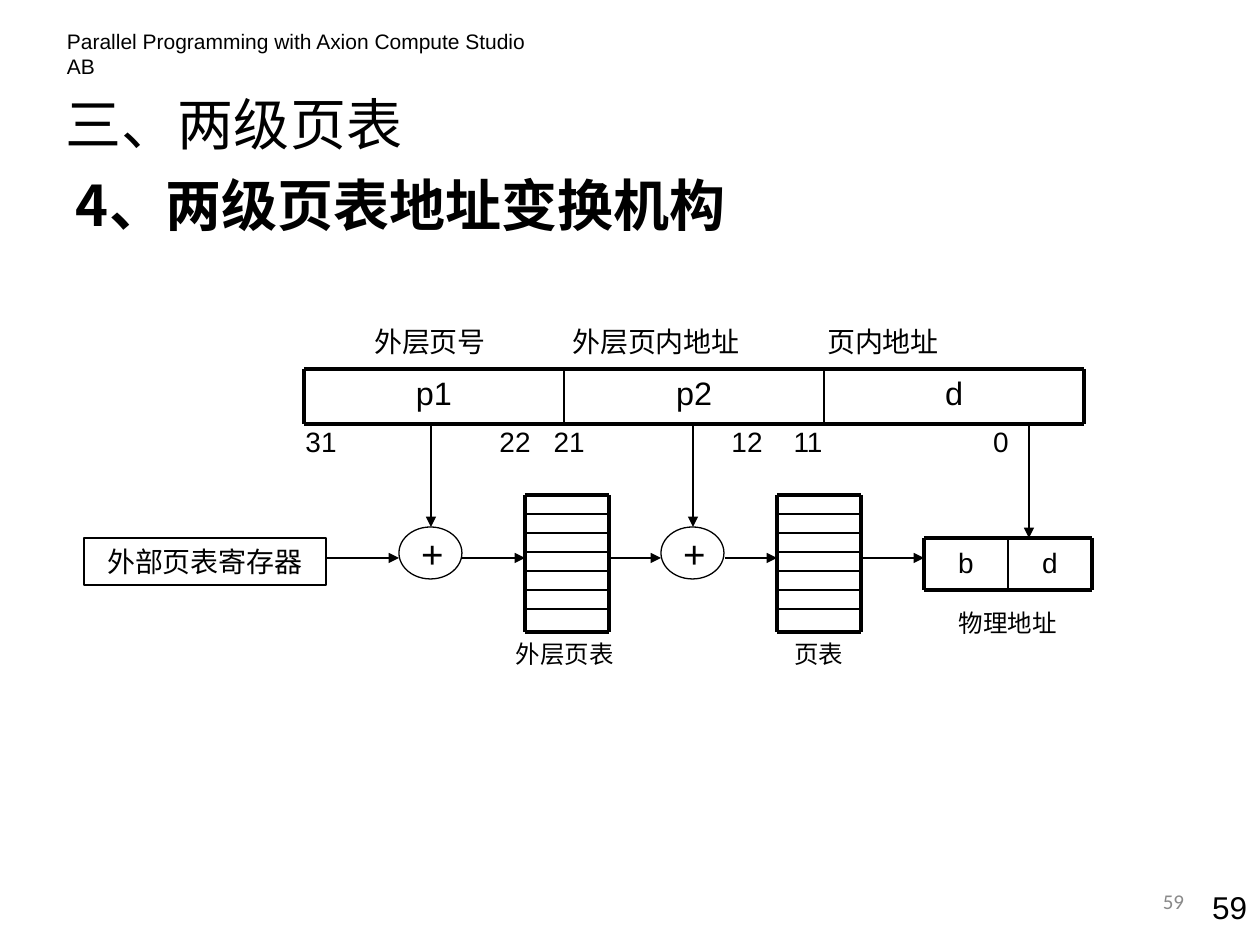
from dataclasses import dataclass
from typing import NamedTuple

from lxml.etree import SubElement
from pptx import Presentation
from pptx.dml.color import RGBColor
from pptx.enum.shapes import MSO_CONNECTOR, MSO_SHAPE
from pptx.enum.text import MSO_ANCHOR, PP_ALIGN
from pptx.oxml.ns import qn
from pptx.slide import Slide
from pptx.util import Pt

EMU_PER_PIXEL = 914400 / 126


@dataclass(frozen=True)
class Theme:
    """Colours, fonts, type sizes and line widths."""

    ink: RGBColor = RGBColor(0, 0, 0)
    muted: RGBColor = RGBColor(0x89, 0x89, 0x89)
    sans: str = "Arial"
    heading: str = "Noto Sans CJK SC"
    footer: str = "Calibri"
    heading_size: float = 32
    plus_size: float = 22
    field_size: float = 18.5
    page_size: float = 18
    label_size: float = 16
    caption_size: float = 14
    small_size: float = 12
    thick: float = 2.24
    medium: float = 1
    thin: float = 0.75


THEME = Theme()


class Box(NamedTuple):
    """A rectangle in pixels."""

    left: int
    top: int
    width: int
    height: int


@dataclass(frozen=True)
class Label:
    """One piece of text and its look."""

    text: str
    box: Box
    size: float = THEME.label_size
    align: PP_ALIGN = PP_ALIGN.CENTER
    anchor: MSO_ANCHOR = MSO_ANCHOR.MIDDLE
    font: str = THEME.sans
    color: RGBColor = THEME.ink
    bold: bool = False
    outline: MSO_SHAPE | None = None


class Grid(NamedTuple):
    """Pixel positions of the rules of a table outline."""

    columns: list[int]
    rows: list[int]


class Arrow(NamedTuple):
    """Start and end of an arrow in pixels."""

    start: tuple[int, int]
    end: tuple[int, int]


def emu(*pixels: int) -> list[int]:
    """Convert pixels to EMU."""
    return [round(value * EMU_PER_PIXEL) for value in pixels]


def draw_label(slide: Slide, label: Label) -> None:
    """Draw text, in an outlined shape where one is named."""
    if label.outline is None:
        shape = slide.shapes.add_textbox(*emu(*label.box))
    else:
        shape = slide.shapes.add_shape(label.outline, *emu(*label.box))
        shape.shadow.inherit = False
        shape.fill.background()
        shape.line.color.rgb = THEME.ink
        shape.line.width = Pt(THEME.thin)
    frame = shape.text_frame
    frame.word_wrap = True
    frame.vertical_anchor = label.anchor
    frame.margin_left, frame.margin_right = emu(13, 13)
    frame.margin_top = frame.margin_bottom = 0
    paragraph = frame.paragraphs[0]
    paragraph.text = label.text
    paragraph.alignment = label.align
    font = paragraph.font
    font.name, font.size, font.bold = label.font, Pt(label.size), label.bold
    font.color.rgb = label.color


def draw_line(slide: Slide, start: tuple[int, int], end: tuple[int, int],
              width: float, arrow: bool = False) -> None:
    """Draw a straight line, with an arrowhead at its end on request."""
    connector = slide.shapes.add_connector(
        MSO_CONNECTOR.STRAIGHT, *emu(*start, *end))
    connector.line.color.rgb = THEME.ink
    connector.line.width = Pt(width)
    if arrow:
        SubElement(connector.line._get_or_add_ln(), qn("a:tailEnd"), type="triangle")
    SubElement(connector._element.spPr, qn("a:effectLst"))


def draw_grid(slide: Slide, grid: Grid) -> None:
    """Draw a grid with a thick frame and lighter inner rules."""
    left, right = grid.columns[0], grid.columns[-1]
    top, bottom = grid.rows[0], grid.rows[-1]
    for y in grid.rows:
        width = THEME.thick if y in (top, bottom) else THEME.medium
        draw_line(slide, (left, y), (right, y), width)
    for x in grid.columns:
        width = THEME.thick if x in (left, right) else THEME.medium
        draw_line(slide, (x, top), (x, bottom), width)


def centered(text: str, center: int, top: int, width: int, height: int,
             size: float = THEME.label_size) -> Label:
    """Make a label around a horizontal centre."""
    return Label(text, Box(center - width // 2, top, width, height), size)


FLOW_Y = 558
ADDER_CENTERS = [431, 693]
FIELD_COLUMNS = [304 + 260 * index for index in range(4)]
RESULT_COLUMNS = [924, 1008, 1092]
STACK_ROWS = [495 + 19 * index for index in range(7)] + [632]

GRIDS = [
    Grid(FIELD_COLUMNS, [369, 424]),
    Grid([525, 609], STACK_ROWS),
    Grid([777, 861], STACK_ROWS),
    Grid(RESULT_COLUMNS, [538, 590]),
]

HEADINGS = [
    Label("Parallel Programming with Axion Compute Studio AB", Box(54, 35, 517, 38),
          THEME.small_size, PP_ALIGN.LEFT),
    Label("三、两级页表", Box(53, 76, 714, 94), THEME.heading_size,
          PP_ALIGN.LEFT, font=THEME.heading),
    Label("4、两级页表地址变换机构", Box(63, 170, 977, 147), THEME.heading_size,
          PP_ALIGN.LEFT, MSO_ANCHOR.TOP, THEME.heading, bold=True),
    Label("59", Box(1176, 882, 84, 50), THEME.page_size, PP_ALIGN.RIGHT),
    Label("59", Box(903, 876, 294, 50), THEME.small_size, PP_ALIGN.RIGHT,
          font=THEME.footer, color=THEME.muted),
]

FIELDS = [Label(text, Box(left, 369, 260, 47), THEME.field_size)
          for text, left in zip(("p1", "p2", "d"), FIELD_COLUMNS)]
FIELD_NAMES = [centered(text, x, 318, 220, 47) for text, x in
               (("外层页号", 430), ("外层页内地址", 656), ("页内地址", 883))]
BITS = [centered(text, x, 418, 70, 47) for text, x in
        (("31", 321), ("22", 515), ("21", 569), ("12", 747), ("11", 808), ("0", 1001))]
RESULTS = [Label(text, Box(left, 538, 84, 48))
           for text, left in zip("bd", RESULT_COLUMNS)]
CAPTIONS = [centered(text, x, top, 150, 43, THEME.caption_size) for text, x, top in
            (("外层页表", 565, 632), ("页表", 819, 632), ("物理地址", 1008, 601))]
REGISTER = Label("外部页表寄存器", Box(84, 538, 242, 47), outline=MSO_SHAPE.RECTANGLE)
ADDERS = [Label("+", Box(x - 32, 527, 63, 52), THEME.plus_size, outline=MSO_SHAPE.OVAL)
          for x in ADDER_CENTERS]

ARROWS = [Arrow((x, 424), (x, 527)) for x in ADDER_CENTERS]
ARROWS += [Arrow((1029, 424), (1029, 538))]
ARROWS += [Arrow((start, FLOW_Y), (end, FLOW_Y)) for start, end in
           ((326, 399), (462, 525), (609, 661), (725, 777), (861, 924))]


def main() -> None:
    """Build the slide and save it."""
    presentation = Presentation()
    presentation.slide_width, presentation.slide_height = emu(1260, 945)
    slide = presentation.slides.add_slide(presentation.slide_layouts[6])
    for label in (*HEADINGS, *FIELDS, *FIELD_NAMES, *BITS, *RESULTS,
                  *CAPTIONS, REGISTER, *ADDERS):
        draw_label(slide, label)
    for grid in GRIDS:
        draw_grid(slide, grid)
    for arrow in ARROWS:
        draw_line(slide, arrow.start, arrow.end, THEME.thin, arrow=True)
    presentation.save("out.pptx")


main()
